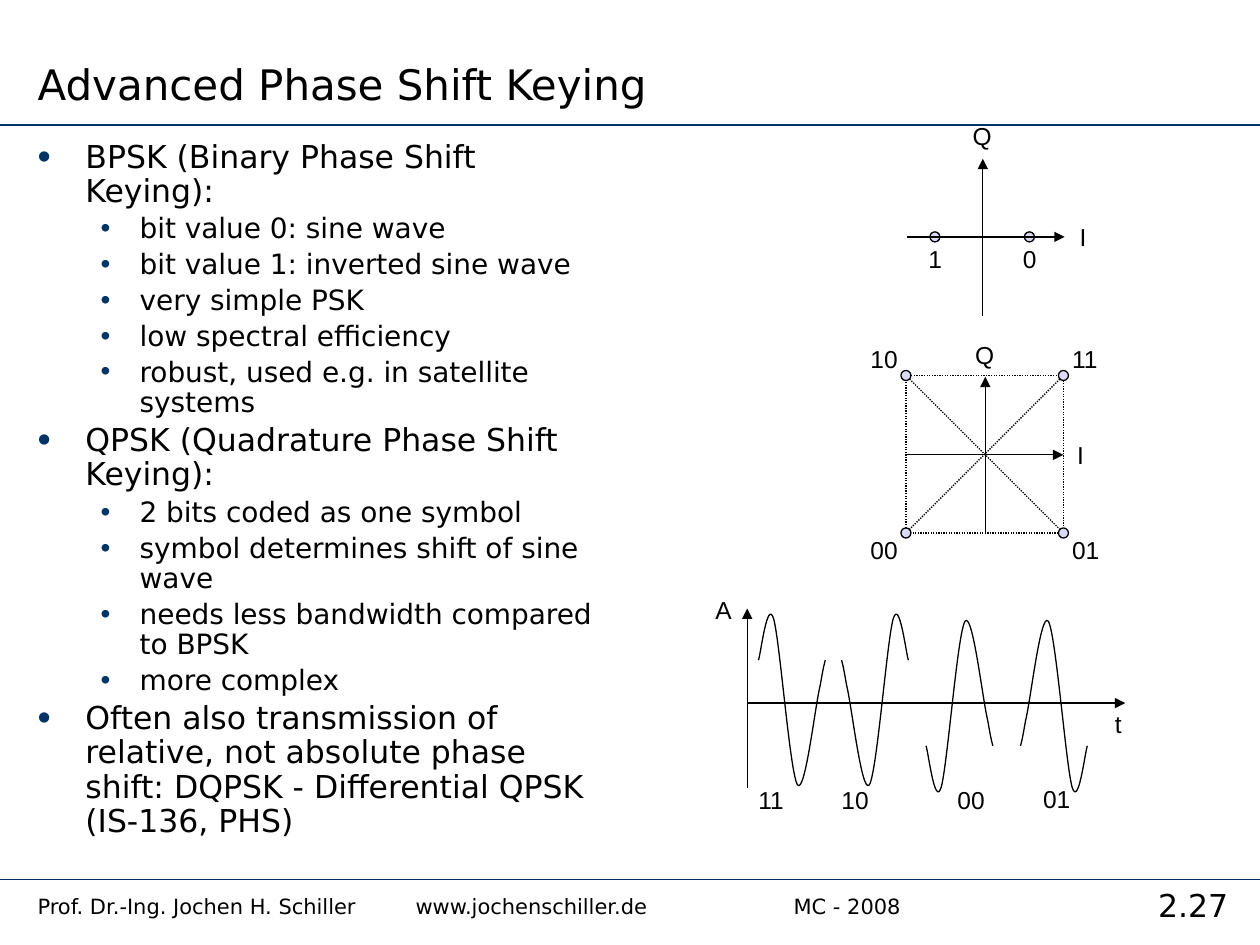
from lxml.etree import SubElement
from pptx import Presentation
from pptx.dml.color import RGBColor
from pptx.enum.dml import MSO_LINE
from pptx.enum.shapes import MSO_CONNECTOR, MSO_SHAPE
from pptx.enum.text import MSO_ANCHOR, MSO_AUTO_SIZE, PP_ALIGN
from pptx.oxml.ns import qn
from pptx.util import Pt

EMU_PER_PX = 9144  # 100 px to the inch
COLORS = {"text": "000000", "rule": "003366", "point": "DADAF6"}
LABEL_WIDTHS = {"Q": 35, "A": 33, "I": 26, "t": 26, "0": 31, "1": 31}


def px(length):
    return round(length * EMU_PER_PX)


def rgb(name):
    return RGBColor.from_string(COLORS[name])


def set_all(target, values):
    for name, value in values.items():
        setattr(target, name, value)


class Drawing:
    body_font = "DejaVu Sans"
    label_font = "Arial"
    # size, left indent, hanging indent, bullet percent for each level
    levels = [(18, 38, 38, 120), (16, 81, 31, 100)]

    def __init__(self, slide):
        self.slide = slide

    def style_font(self, paragraph, size, font):
        set_all(paragraph.font, {"size": Pt(size), "name": font})
        paragraph.font.color.rgb = rgb("text")

    def outline(self, shape, color="text", weight=0.75):
        shape.line.color.rgb = rgb(color)
        shape.line.width = Pt(weight)

    def frame(self, left, top, width, height, **format_values):
        box = self.slide.shapes.add_textbox(px(left), px(top), px(width), px(height))
        set_all(box.text_frame, {"word_wrap": True, **format_values})
        return box.text_frame

    def text(self, words, at, size, font=body_font, align=PP_ALIGN.LEFT, tabs=(),
             **format_values):
        paragraph = self.frame(*at, **format_values).paragraphs[0]
        set_all(paragraph, {"text": words, "alignment": align})
        if tabs:
            tab_list = SubElement(paragraph._p.get_or_add_pPr(), qn("a:tabLst"))
            for position in tabs:
                SubElement(tab_list, qn("a:tab"), pos=str(px(position)), algn="l")
        self.style_font(paragraph, size, font)

    def label(self, words, left, top):
        self.text(words, (left, top, LABEL_WIDTHS.get(words, 42), 33), 14,
                  self.label_font, word_wrap=False,
                  auto_size=MSO_AUTO_SIZE.SHAPE_TO_FIT_TEXT)

    def bullets(self, entries, at):
        frame = self.frame(*at)
        for index, (level, words) in enumerate(entries):
            size, indent, hanging, percent = self.levels[level]
            paragraph = frame.add_paragraph() if index else frame.paragraphs[0]
            set_all(paragraph, {"text": words, "level": level, "line_spacing": 0.9,
                                "space_before": Pt(size * 0.2 if index else 0)})
            properties = paragraph._p.get_or_add_pPr()
            properties.set("marL", str(px(indent)))
            properties.set("indent", str(-px(hanging)))
            color = SubElement(properties, qn("a:buClr"))
            SubElement(color, qn("a:srgbClr"), val=COLORS["rule"])
            SubElement(properties, qn("a:buSzPct"), val=str(percent * 1000))
            SubElement(properties, qn("a:buFont"), typeface=self.label_font)
            SubElement(properties, qn("a:buChar"), char="•")
            self.style_font(paragraph, size, self.body_font)

    def line(self, start, end, color="text", weight=0.75, arrow=False, dotted=False):
        connector = self.slide.shapes.add_connector(
            MSO_CONNECTOR.STRAIGHT, *map(px, (*start, *end)))
        self.outline(connector, color, weight)
        if dotted:
            connector.line.dash_style = MSO_LINE.ROUND_DOT
        properties = connector.element.spPr
        if arrow:
            SubElement(properties.find(qn("a:ln")), qn("a:tailEnd"), type="triangle")
        SubElement(properties, qn("a:effectLst"))

    def point(self, x, y):
        dot = self.slide.shapes.add_shape(
            MSO_SHAPE.FLOWCHART_CONNECTOR, px(x - 4), px(y - 4), px(8), px(8))
        dot.shadow.inherit = False
        dot.fill.solid()
        dot.fill.fore_color.rgb = rgb("point")
        self.outline(dot)

    def curve(self, points):
        """Draw a start point followed by triples of cubic Bézier points."""
        start, *rest = [(px(x), px(y)) for x, y in points]
        builder = self.slide.shapes.build_freeform(*start)
        builder.add_line_segments(rest, close=False)
        wave = builder.convert_to_shape()
        contour = wave.element.find(".//" + qn("a:path"))
        for index, segment in enumerate(contour.findall(qn("a:lnTo"))):
            if index % 3 == 0:
                cubic = SubElement(contour, qn("a:cubicBezTo"))
            cubic.append(segment[0])
            contour.remove(segment)
        wave.shadow.inherit = False
        wave.fill.background()
        self.outline(wave)


BODY = [
    (0, "BPSK (Binary Phase Shift Keying):"),
    (1, "bit value 0: sine wave"),
    (1, "bit value 1: inverted sine wave"),
    (1, "very simple PSK"),
    (1, "low spectral efficiency"),
    (1, "robust, used e.g. in satellite systems"),
    (0, "QPSK (Quadrature Phase Shift Keying):"),
    (1, "2 bits coded as one symbol"),
    (1, "symbol determines shift of sine wave"),
    (1, "needs less bandwidth compared to BPSK"),
    (1, "more complex"),
    (0, "Often also transmission of relative, not absolute phase shift: "
        "DQPSK - Differential QPSK (IS-136, PHS)"),
]

# One symbol of the signal, relative to its left end on the time axis
WAVE_WIDTH = 53
WAVE = [
    (0, -34),
    (2, -40), (7, -83), (12, -67),
    (17, -50), (25, 56), (31, 65),
    (37, 73), (45, 2), (49, -14),
    (52, -31), (52, -30), (53, -34),
]


def main():
    deck = Presentation()
    set_all(deck, {"slide_width": px(1000), "slide_height": px(750)})
    drawing = Drawing(deck.slides.add_slide(deck.slide_layouts[6]))

    # Rules, footer and title
    for y in (99, 698):
        drawing.line((0, y), (1000, y), "rule", 1)
    drawing.text("2.27", (894, 698, 106, 40), 18, align=PP_ALIGN.CENTER)
    drawing.text("Prof. Dr.-Ing. Jochen H. Schiller\twww.jochenschiller.de\t\tMC - 2008\t",
                 (20, 704, 874, 33), 12, tabs=(300, 500, 600, 700))
    drawing.text("Advanced Phase Shift Keying", (20, 0, 661, 91), 24,
                 vertical_anchor=MSO_ANCHOR.BOTTOM)

    # Body
    drawing.bullets(BODY, (20, 107, 472, 585))

    # QPSK signal over time: each symbol is the wave, mirrored or inverted
    axis = 558
    drawing.line((593, 625), (593, 483), arrow=True)
    drawing.line((593, axis), (893, axis), arrow=True)
    for x, mirrored, sign in ((602, False, 1), (668, True, 1),
                              (735, False, -1), (810, True, -1)):
        drawing.curve([(x + (WAVE_WIDTH - dx if mirrored else dx), axis + sign * dy)
                       for dx, dy in WAVE])
    for symbol, x, y in (("11", 592, 618), ("10", 658, 618), ("00", 750, 618),
                         ("01", 818, 617), ("A", 558, 467), ("t", 875, 558)):
        drawing.label(symbol, x, y)

    # BPSK constellation
    for bit, x in (("0", 817), ("1", 742)):
        drawing.point(x, 188)
        drawing.label(bit, x - 15, 189)
    drawing.label("Q", 762, 91)
    drawing.label("I", 847, 171)
    drawing.line((780, 251), (780, 126), arrow=True)
    drawing.line((720, 188), (845, 188), arrow=True)

    # QPSK constellation
    left, right, top, bottom = 719, 844, 298, 423
    corners = [(left, top), (right, top), (right, bottom), (left, bottom)]
    for index, corner in enumerate(corners):
        drawing.line(corner, corners[(index + 1) % 4], dotted=True)
    for start, end in zip(corners[:2], corners[2:]):
        drawing.line(start, end, dotted=True)
    for corner in corners:
        drawing.point(*corner)
    for symbol, x, y in (("10", 681, 268), ("11", 841, 268),
                         ("00", 681, 420), ("01", 841, 420),
                         ("Q", 764, 265), ("I", 845, 344)):
        drawing.label(symbol, x, y)
    drawing.line((782, 424), (782, 299), arrow=True)
    drawing.line((left, 361), (right, 361), arrow=True)

    deck.save("out.pptx")


if __name__ == "__main__":
    main()
